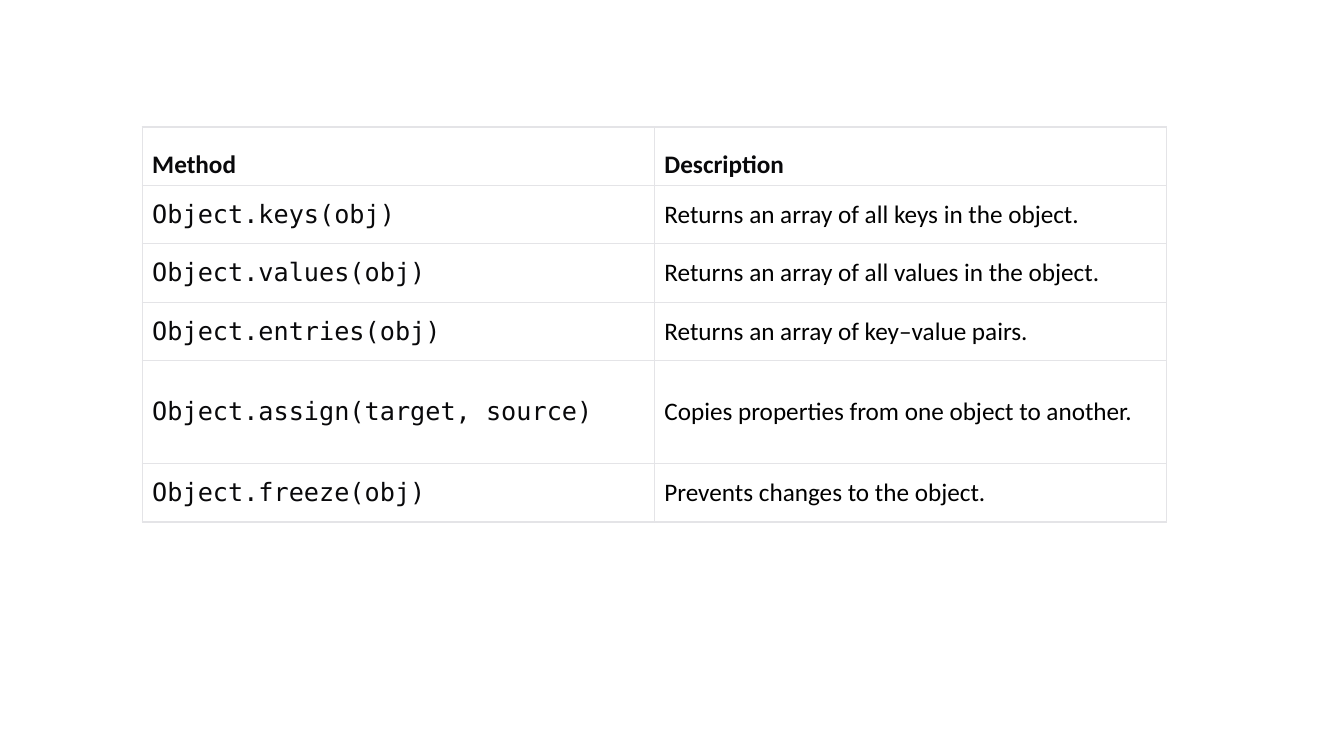
from lxml.etree import SubElement
from pptx import Presentation
from pptx.dml.color import RGBColor
from pptx.enum.text import MSO_ANCHOR
from pptx.oxml.ns import qn
from pptx.util import Inches, Pt

INK, BLACK, WHITE, RULE = "09090B", "000000", "FFFFFF", "E4E4E7"
SANS, MONO = "Calibri", "DejaVu Sans Mono"

HEAD = ("Method", "Description")
METHODS = [
    ("Object.keys(obj)", "Returns an array of all keys in the object."),
    ("Object.values(obj)", "Returns an array of all values in the object."),
    ("Object.entries(obj)", "Returns an array of key–value pairs."),
    ("Object.assign(target, source)", "Copies properties from one object to another."),
    ("Object.freeze(obj)", "Prevents changes to the object."),
]
HEIGHTS = [0.58, 0.58, 0.58, 0.58, 1.02, 0.58]


def color(code):
    return RGBColor.from_string(code)


def write(cell, text, font=SANS, size=18, ink=BLACK, bold=False,
          anchor=MSO_ANCHOR.MIDDLE):
    cell.vertical_anchor = anchor
    run = cell.text_frame.paragraphs[0].add_run()
    run.text = text
    run.font.name = font
    run.font.size = Pt(size)
    run.font.bold = bold
    run.font.color.rgb = color(ink)


def dress(cell):
    # Borders come before the fill in the cell properties
    props = cell._tc.get_or_add_tcPr()
    for side in ("a:lnL", "a:lnR", "a:lnT", "a:lnB"):
        line = SubElement(props, qn(side), w=str(Pt(1)))
        fill = SubElement(line, qn("a:solidFill"))
        SubElement(fill, qn("a:srgbClr"), val=RULE)
    cell.fill.solid()
    cell.fill.fore_color.rgb = color(WHITE)


def add_methods(slide, left, top, width):
    rows = [HEAD] + METHODS
    frame = slide.shapes.add_table(len(rows), len(HEAD), Inches(left), Inches(top),
                                   Inches(width), Inches(sum(HEIGHTS)))
    table = frame.table
    table.horz_banding = False
    for row, height in zip(table.rows, HEIGHTS):
        row.height = Inches(height)
    for cell in table.iter_cells():
        dress(cell)

    # Header row
    for col, label in enumerate(HEAD):
        write(table.cell(0, col), label, ink=INK, bold=True,
              anchor=MSO_ANCHOR.BOTTOM)

    # Method rows
    for row, (call, about) in enumerate(METHODS, 1):
        write(table.cell(row, 0), call, font=MONO, ink=INK)
        write(table.cell(row, 1), about)


def main():
    deck = Presentation()
    deck.slide_width, deck.slide_height = Inches(13.33), Inches(7.5)
    slide = deck.slides.add_slide(deck.slide_layouts[6])
    add_methods(slide, 1.41, 1.26, 10.16)
    deck.save("out.pptx")


if __name__ == "__main__":
    main()
